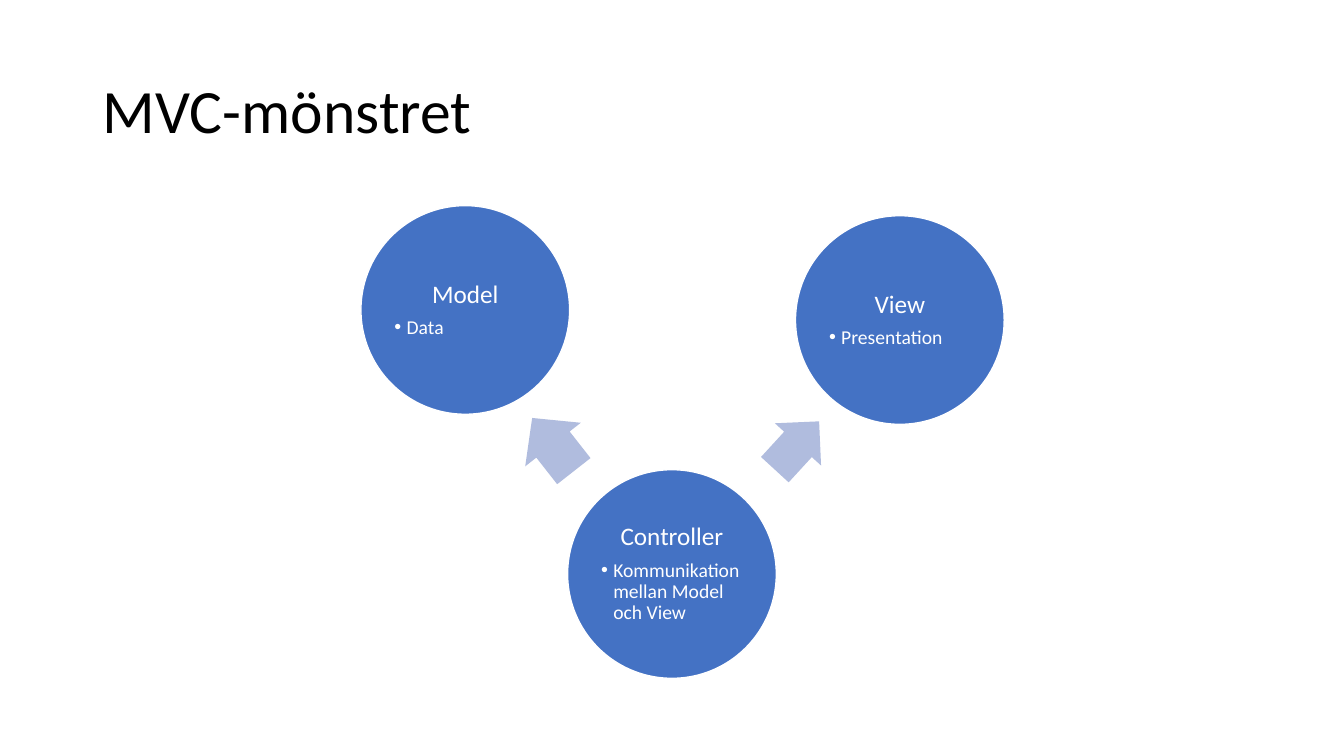
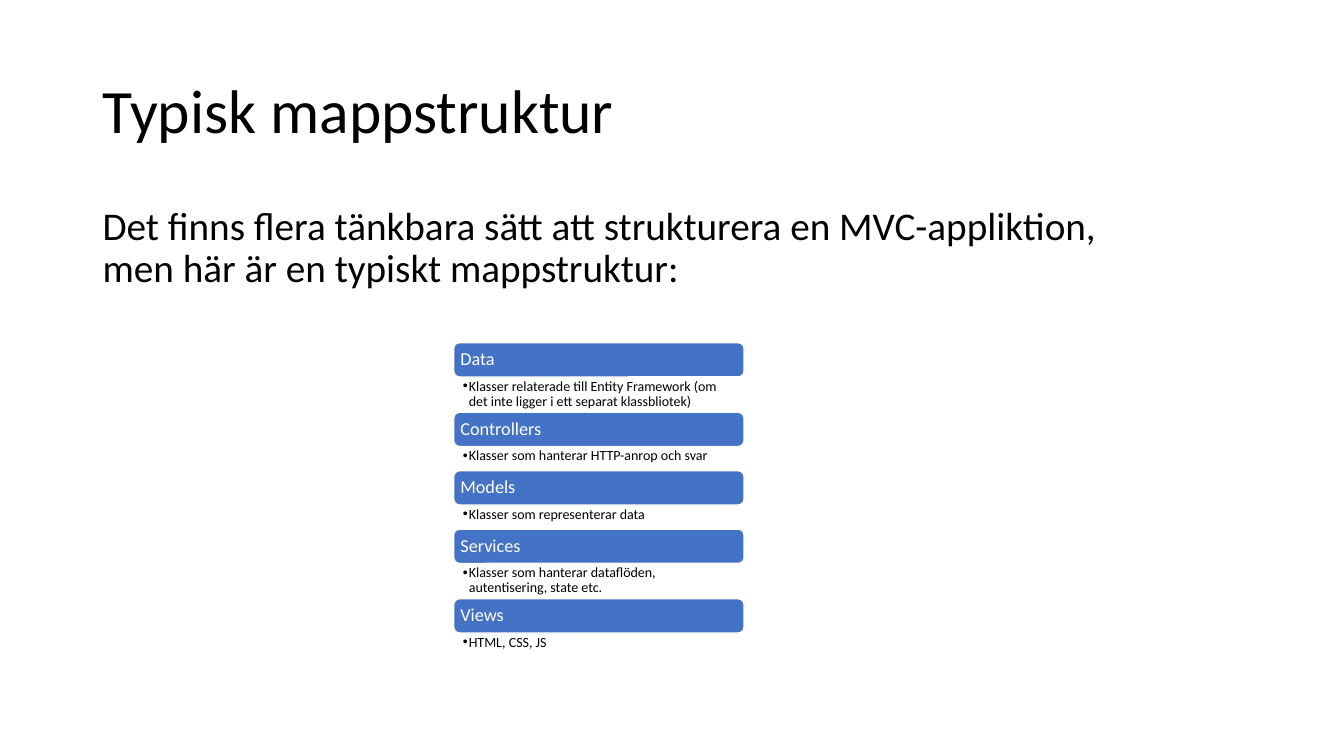
from dataclasses import dataclass
from typing import Any, Optional

from lxml import etree
from pptx import Presentation
from pptx.dml.color import RGBColor
from pptx.enum.shapes import MSO_SHAPE
from pptx.enum.text import MSO_ANCHOR, MSO_AUTO_SIZE, PP_ALIGN
from pptx.oxml.ns import qn
from pptx.util import Inches, Pt

ELLIPSE = MSO_SHAPE.OVAL
ARROW = MSO_SHAPE.RIGHT_ARROW
ROUNDED = MSO_SHAPE.ROUNDED_RECTANGLE
TOP, MIDDLE = MSO_ANCHOR.TOP, MSO_ANCHOR.MIDDLE
LEFT, CENTER = PP_ALIGN.LEFT, PP_ALIGN.CENTER
NO_AUTOFIT = MSO_AUTO_SIZE.NONE
TITLE_ONLY_LAYOUT = 5


@dataclass(frozen=True)
class Theme:
    font: str = "Calibri"
    ink: RGBColor = RGBColor(0x00, 0x00, 0x00)
    white: RGBColor = RGBColor(0xFF, 0xFF, 0xFF)
    blue: RGBColor = RGBColor(0x44, 0x72, 0xC4)
    pale_blue: RGBColor = RGBColor(0xB0, 0xBC, 0xDE)
    title_size: int = 44
    body_size: int = 28
    circle_size: int = 18
    circle_detail_size: int = 14
    folder_size: int = 13
    folder_detail_size: int = 10
    line_spacing: float = 0.9


THEME = Theme()


@dataclass(frozen=True)
class Box:
    left: float
    top: float
    width: float
    height: float

    def lengths(self) -> tuple:
        return tuple(map(Inches, (self.left, self.top, self.width, self.height)))


@dataclass(frozen=True)
class Line:
    text: str
    size: int
    color: RGBColor
    align: Any = LEFT
    before: float = 0
    after: float = 0
    bullet_indent: Optional[float] = None


@dataclass(frozen=True)
class Role:
    name: str
    detail: str
    left: float
    top: float


@dataclass(frozen=True)
class Arrow:
    box: Box
    rotation: float


@dataclass(frozen=True)
class Folder:
    name: str
    detail: str
    detail_height: float


TITLE_BOX = Box(0.92, 0.4, 11.5, 1.45)
INTRO_BOX = Box(0.92, 2, 10.2, 1.01)
DEFAULT_INSETS = (0.1, 0.05, 0.1, 0.05)
CIRCLE_INSETS = (0.03,) * 4
FOLDER_INSETS = (0.05,) * 4
DETAIL_INSETS = (0.09, 0.02, 0.1, 0.02)

CIRCLE_DIAMETER = 2.07
ROLES = (
    Role("Model", "Data", 3.58, 2.04),
    Role("View", "Presentation", 7.89, 2.14),
    Role("Controller", "Kommunikation mellan Model och View", 5.63, 4.66),
)
ARROWS = (
    Arrow(Box(7.58, 4.11, 0.65, 0.62), 312.5),
    Arrow(Box(5.15, 4.06, 0.67, 0.7), 231.9),
)

FOLDER_LEFT, FOLDER_TOP = 4.5, 3.4
FOLDER_WIDTH, FOLDER_HEIGHT = 2.88, 0.34
ONE_LINE, TWO_LINES = 0.24, 0.35
FOLDERS = (
    Folder(
        "Data",
        "Klasser relaterade till Entity Framework (om det inte ligger i ett separat klassbliotek)",
        TWO_LINES,
    ),
    Folder("Controllers", "Klasser som hanterar HTTP-anrop och svar", ONE_LINE),
    Folder("Models", "Klasser som representerar data", ONE_LINE),
    Folder(
        "Services",
        "Klasser som hanterar dataflöden, autentisering, state etc.",
        TWO_LINES,
    ),
    Folder("Views", "HTML, CSS, JS", ONE_LINE),
)
INTRO = (
    "Det finns flera tänkbara sätt att strukturera en MVC-appliktion, "
    "men här är en typiskt mappstruktur:"
)


def set_format(target: Any, values: dict) -> None:
    for name, value in values.items():
        setattr(target, name, value)


def add_bullet(paragraph: Any, indent: float) -> None:
    paragraph.level = 1
    properties = paragraph._p.get_or_add_pPr()
    properties.set("marL", str(Inches(indent)))
    properties.set("indent", str(-Inches(indent)))
    etree.SubElement(properties, qn("a:buFont")).set("typeface", "Arial")
    etree.SubElement(properties, qn("a:buChar")).set("char", "•")


def write_text(shape: Any, lines: tuple, anchor: Any, insets: tuple) -> None:
    frame = shape.text_frame
    left, top, right, bottom = map(Inches, insets)
    set_format(frame, {
        "auto_size": NO_AUTOFIT,
        "word_wrap": True,
        "vertical_anchor": anchor,
        "margin_left": left,
        "margin_top": top,
        "margin_right": right,
        "margin_bottom": bottom,
    })
    for index, line in enumerate(lines):
        paragraph = frame.add_paragraph() if index else frame.paragraphs[0]
        set_format(paragraph, {
            "alignment": line.align,
            "line_spacing": THEME.line_spacing,
            "space_before": Pt(line.before),
            "space_after": Pt(line.after),
        })
        if line.bullet_indent is not None:
            add_bullet(paragraph, line.bullet_indent)
        run = paragraph.add_run()
        run.text = line.text
        set_format(run.font, {"name": THEME.font, "size": Pt(line.size)})
        run.font.color.rgb = line.color


def add_titled_slide(presentation: Any, title: str) -> Any:
    slide = presentation.slides.add_slide(presentation.slide_layouts[TITLE_ONLY_LAYOUT])
    placeholder = slide.shapes.title
    set_format(placeholder, dict(zip(("left", "top", "width", "height"), TITLE_BOX.lengths())))
    write_text(placeholder, (Line(title, THEME.title_size, THEME.ink),), MIDDLE, DEFAULT_INSETS)
    return slide


def add_filled_shape(
    slide: Any, kind: Any, box: Box, fill: RGBColor, outline: Optional[RGBColor] = None
) -> Any:
    shape = slide.shapes.add_shape(kind, *box.lengths())
    shape.shadow.inherit = False
    shape.fill.solid()
    shape.fill.fore_color.rgb = fill
    if outline is None:
        shape.line.fill.background()
    else:
        shape.line.color.rgb = outline
        shape.line.width = Pt(1)
    return shape


def add_text_box(slide: Any, box: Box, line: Line, insets: tuple) -> None:
    write_text(slide.shapes.add_textbox(*box.lengths()), (line,), TOP, insets)


def add_role(slide: Any, role: Role) -> None:
    box = Box(role.left, role.top, CIRCLE_DIAMETER, CIRCLE_DIAMETER)
    circle = add_filled_shape(slide, ELLIPSE, box, THEME.blue, THEME.white)
    lines = (
        Line(role.name, THEME.circle_size, THEME.white, CENTER, after=6.3),
        Line(role.detail, THEME.circle_detail_size, THEME.white, after=2.1, bullet_indent=0.12),
    )
    write_text(circle, lines, MIDDLE, CIRCLE_INSETS)


def add_arrow(slide: Any, arrow: Arrow) -> None:
    shape = add_filled_shape(slide, ARROW, arrow.box, THEME.pale_blue)
    shape.rotation = arrow.rotation
    shape.adjustments[0] = 0.6
    shape.adjustments[1] = 0.5


def add_folder(slide: Any, folder: Folder, top: float) -> float:
    box = Box(FOLDER_LEFT, top, FOLDER_WIDTH, FOLDER_HEIGHT)
    bar = add_filled_shape(slide, ROUNDED, box, THEME.blue, THEME.white)
    name = Line(folder.name, THEME.folder_size, THEME.white)
    write_text(bar, (name,), MIDDLE, FOLDER_INSETS)
    detail_top = top + FOLDER_HEIGHT
    detail = Line(
        folder.detail, THEME.folder_detail_size, THEME.ink, after=2, bullet_indent=0.06
    )
    detail_box = Box(FOLDER_LEFT, detail_top, FOLDER_WIDTH, folder.detail_height)
    add_text_box(slide, detail_box, detail, DETAIL_INSETS)
    return detail_top + folder.detail_height


def build_pattern_slide(presentation: Any) -> None:
    slide = add_titled_slide(presentation, "MVC-mönstret")
    for role in ROLES:
        add_role(slide, role)
    for arrow in ARROWS:
        add_arrow(slide, arrow)


def build_folder_slide(presentation: Any) -> None:
    slide = add_titled_slide(presentation, "Typisk mappstruktur")
    intro = Line(INTRO, THEME.body_size, THEME.ink, before=10)
    add_text_box(slide, INTRO_BOX, intro, DEFAULT_INSETS)
    top = FOLDER_TOP
    for folder in FOLDERS:
        top = add_folder(slide, folder, top)


def main() -> None:
    presentation = Presentation()
    set_format(presentation, {"slide_width": Inches(13.33), "slide_height": Inches(7.5)})
    build_pattern_slide(presentation)
    build_folder_slide(presentation)
    presentation.save("out.pptx")


if __name__ == "__main__":
    main()
